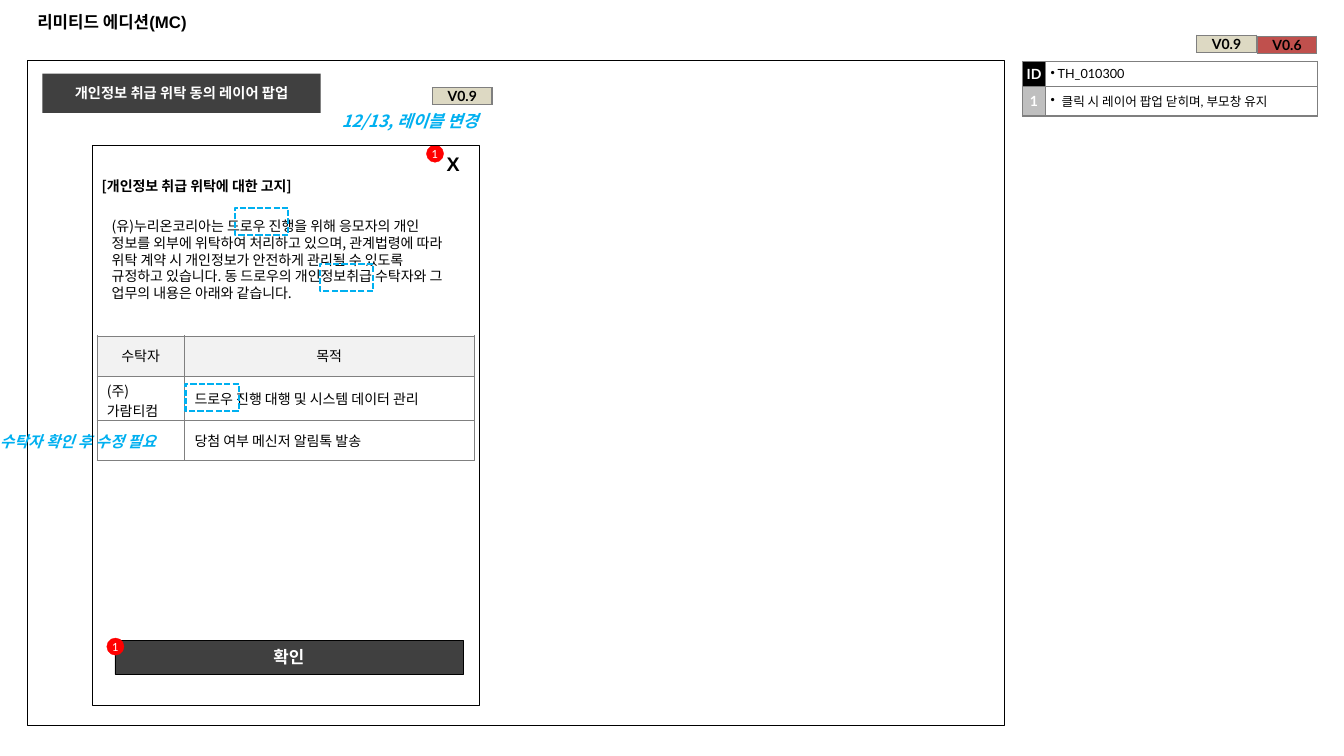
from lxml.etree import SubElement
from pptx import Presentation
from pptx.dml.color import RGBColor
from pptx.enum.dml import MSO_LINE_DASH_STYLE as Dash
from pptx.enum.shapes import MSO_SHAPE as Shape
from pptx.enum.text import MSO_ANCHOR as Anchor, MSO_AUTO_SIZE as AutoSize, PP_ALIGN as Align
from pptx.oxml.ns import qn
from pptx.util import Emu, Pt

EMU_PER_PX = 9144
KOREAN, LATIN, HEADING = "Noto Sans CJK KR", "Lato", "Arial"
BLACK, WHITE, DARK, RED, CYAN = "000000", "FFFFFF", "404040", "FF0000", "00B0F0"
LIGHT, SILVER, SAND, BRICK = "F2F2F2", "BFBFBF", "DDD9C3", "C0504D"


def px(length):
    return Emu(length * EMU_PER_PX)


def color(value):
    return RGBColor.from_string(value)


def set_fill(fill, value):
    if value:
        fill.solid()
        fill.fore_color.rgb = color(value)
    else:
        fill.background()


class Wireframe:
    """Draws styled elements on one slide; boxes are (left, top, width, height) in px."""

    def __init__(self, presentation):
        self.slide = presentation.slides.add_slide(presentation.slide_layouts[5])
        self.text_style = {"name": KOREAN, "size": 10, "color": BLACK,
                           "bold": False, "italic": False}

    def add_text(self, frame, text, align=Align.LEFT, spacing=None, hanging=0, **style):
        style = {**self.text_style, **style}
        paragraph = frame.paragraphs[0]
        paragraph.alignment = align
        if spacing:
            paragraph.line_spacing = Pt(spacing)
        if hanging:
            properties = paragraph._p.get_or_add_pPr()
            properties.set("marL", str(px(hanging)))
            properties.set("indent", str(px(-hanging)))
            SubElement(properties, qn("a:buChar")).set("char", "•")
        run = paragraph.add_run()
        run.text = text
        run.font.color.rgb = color(style.pop("color"))
        style["size"] = Pt(style["size"])
        for name, value in style.items():
            setattr(run.font, name, value)
        SubElement(run._r.get_or_add_rPr(), qn("a:ea")).set("typeface", KOREAN)

    def set_margins(self, target, left, top, right, bottom):
        margins = {"left": left, "top": top, "right": right, "bottom": bottom}
        for side, value in margins.items():
            setattr(target, f"margin_{side}", px(value))

    def title(self, box, text, **style):
        title = self.slide.shapes.title
        title.left, title.top, title.width, title.height = map(px, box)
        frame = title.text_frame
        frame.auto_size = AutoSize.NONE
        frame.vertical_anchor = Anchor.TOP
        self.set_margins(frame, 10, 5, 10, 5)
        self.add_text(frame, text, **style)

    def label(self, box, text, **style):
        frame = self.slide.shapes.add_textbox(*map(px, box)).text_frame
        frame.word_wrap = True
        self.add_text(frame, text, **style)

    def shape(self, box, kind=Shape.RECTANGLE, fill=None, line=None, width=0.25,
              dash=None, text=None, **style):
        shape = self.slide.shapes.add_shape(kind, *map(px, box))
        shape.shadow.inherit = False
        set_fill(shape.fill, fill)
        set_fill(shape.line.fill, line)
        if line:
            shape.line.width = Pt(width)
        if dash:
            shape.line.dash_style = dash
        if text:
            frame = shape.text_frame
            frame.vertical_anchor = Anchor.MIDDLE
            self.set_margins(frame, 0, 0, 0, 0)
            self.add_text(frame, text, Align.CENTER, **{"color": WHITE, **style})

    def marker(self, left, top):
        self.shape((left, top, 17, 17), Shape.OVAL, RED, RED, text="1", name=LATIN, size=8)

    def highlight(self, left, top):
        self.shape((left, top, 53, 27), line=CYAN, width=1.5, dash=Dash.SQUARE_DOT)

    def border(self, cell, value, width):
        properties = cell._tc.get_or_add_tcPr()
        for side in "LRTB":
            line = SubElement(properties, qn(f"a:ln{side}"), w=str(Pt(width)))
            fill = SubElement(line, qn("a:solidFill"))
            SubElement(fill, qn("a:srgbClr"), val=value)

    def table(self, left, top, columns, rows, cells, line="7F7F7F", width=1):
        """Each cell is a dict of text, fill, margins and text format."""
        box = map(px, (left, top, sum(columns), sum(rows)))
        table = self.slide.shapes.add_table(len(rows), len(columns), *box).table
        table.first_row = table.horz_banding = False
        for column, size in zip(table.columns, columns):
            column.width = px(size)
        for row, size in zip(table.rows, rows):
            row.height = px(size)
        for cell, content in zip(table.iter_cells(), cells):
            style = dict(content)
            self.border(cell, line, width)
            set_fill(cell.fill, style.pop("fill", None))
            cell.vertical_anchor = Anchor.MIDDLE
            self.set_margins(cell, *style.pop("margins", (0, 0, 0, 0)))
            self.add_text(cell.text_frame, **style)

    def version(self, left, top, text, fill):
        self.table(left, top, [59], [17], [
            {"text": text, "fill": fill, "align": Align.CENTER, "name": LATIN, "bold": True}])


def main():
    presentation = Presentation()
    presentation.slide_width, presentation.slide_height = px(1333), px(750)
    page = Wireframe(presentation)

    page.shape((27, 60, 969, 660), line=BLACK, width=0.75)
    page.title((27, 7, 1279, 39), "리미티드 에디션(MC)", name=HEADING, size=12, bold=True)

    key = {"align": Align.CENTER, "name": LATIN, "color": WHITE, "bold": True}
    note = {"margins": (5, 5, 5, 5), "name": LATIN, "size": 9}
    page.table(1014, 61, [23, 270], [25, 29], [
        {"text": "ID", "fill": BLACK, **key},
        {"text": "TH_010300", "hanging": 7, **note},
        {"text": "1", "fill": SILVER, **key},
        {"text": "클릭 시 레이어 팝업 닫히며, 부모창 유지", "hanging": 11, **note}])
    page.version(1247, 36, "V0.6", BRICK)

    page.shape((42, 73, 276, 39), fill=DARK, text="개인정보 취급 위탁 동의 레이어 팝업",
               name=HEADING, size=10.2, bold=True)
    page.label((91, 171, 235, 27), "[개인정보 취급 위탁에 대한 고지]", bold=True)
    page.label((101, 211, 358, 94),
               "(유)누리온코리아는 드로우 진행을 위해 응모자의 개인 정보를 외부에 위탁하여 "
               "처리하고 있으며, 관계법령에 따라 위탁 계약 시 개인정보가 안전하게 관리될 수 있도록 "
               "규정하고 있습니다. 동 드로우의 개인정보취급 수탁자와 그 업무의 내용은 아래와 같습니다.",
               spacing=12)

    header = {"fill": LIGHT, "align": Align.CENTER}
    body = {"fill": WHITE, "margins": (10, 2, 10, 2)}
    page.table(96, 333, [87, 287], [40, 44, 40], [
        {"text": "수탁자", **header},
        {"text": "목적", **header},
        {"text": "(주)가람티컴", **body, "margins": (10, 4, 10, 0)},
        {"text": "드로우 진행 대행 및 시스템 데이터 관리", **body},
        {"text": "", **body},
        {"text": "당첨 여부 메신저 알림톡 발송", **body}], line="808080", width=0.25)

    remark = {"color": CYAN, "bold": True, "italic": True}
    page.label((-10, 424, 195, 29), "수탁자 확인 후 수정 필요", size=11, **remark)
    page.label((423, 146, 53, 34), "X", align=Align.CENTER, name=HEADING, size=14, bold=True)
    page.marker(423, 144)
    page.shape((114, 635, 345, 34), fill=DARK, line=BLACK, text="확인",
               name=LATIN, size=12, bold=True)
    page.marker(106, 633)
    page.shape((91, 144, 384, 556), line=BLACK)

    for left, top in ((1187, 35), (429, 87)):
        page.version(left, top, "V0.9", SAND)
    page.label((329, 105, 167, 30), "12/13, 레이블 변경", size=12, **remark)
    for left, top in ((317, 262), (233, 206), (184, 381)):
        page.highlight(left, top)

    presentation.save("out.pptx")


if __name__ == "__main__":
    main()
